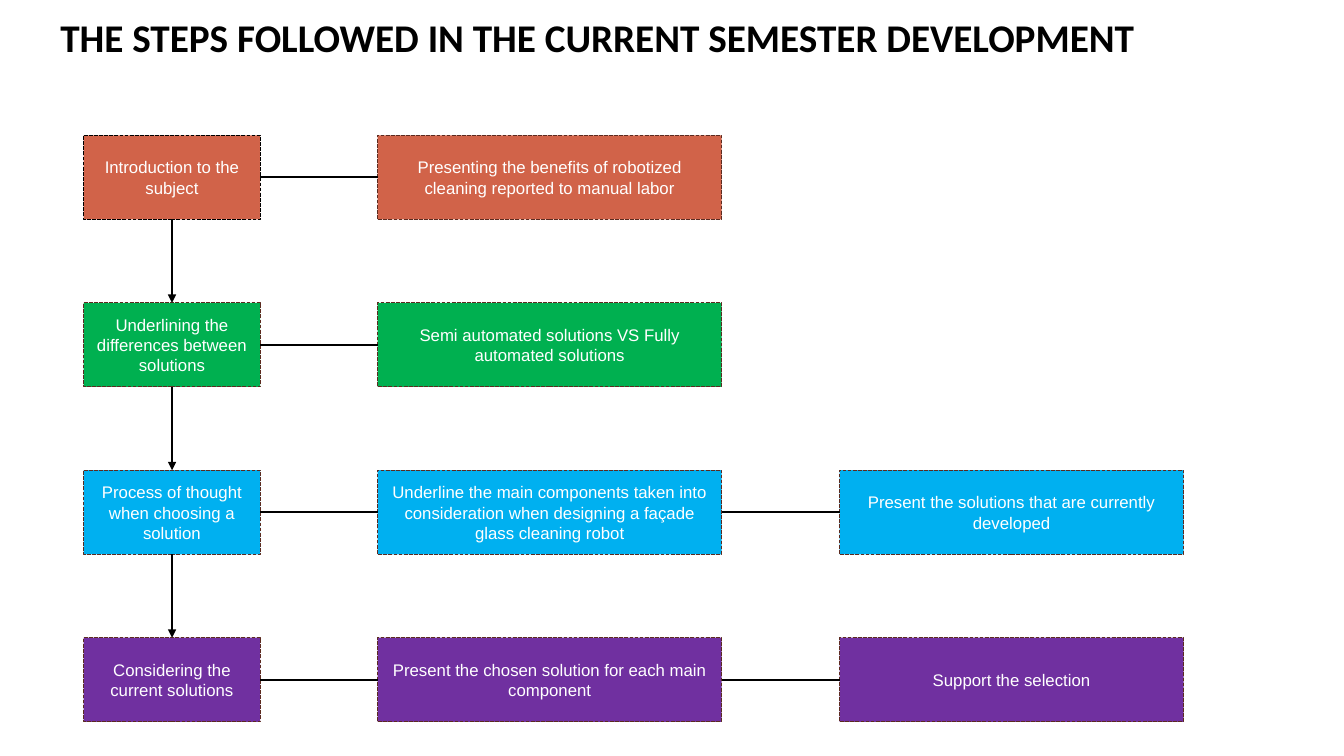
"""Build the slide showing the steps followed in the current semester."""
from dataclasses import dataclass

from lxml import etree
from pptx import Presentation
from pptx.dml.color import RGBColor
from pptx.enum.dml import MSO_LINE
from pptx.enum.shapes import MSO_CONNECTOR, MSO_SHAPE
from pptx.enum.text import MSO_ANCHOR, MSO_AUTO_SIZE, PP_ALIGN
from pptx.oxml.ns import qn
from pptx.shapes.autoshape import Shape
from pptx.slide import Slide
from pptx.text.text import TextFrame
from pptx.util import Cm, Pt

RECTANGLE = MSO_SHAPE.RECTANGLE
STRAIGHT = MSO_CONNECTOR.STRAIGHT
DASH = MSO_LINE.SQUARE_DOT
MIDDLE = MSO_ANCHOR.MIDDLE
CENTER = PP_ALIGN.CENTER
LEFT = PP_ALIGN.LEFT
GROW = MSO_AUTO_SIZE.SHAPE_TO_FIT_TEXT

BLACK = RGBColor(0x00, 0x00, 0x00)
WHITE = RGBColor(0xFF, 0xFF, 0xFF)
BROWN = RGBColor(0x5C, 0x2B, 0x20)
TERRACOTTA = RGBColor(0xD1, 0x63, 0x49)
GREEN = RGBColor(0x00, 0xB0, 0x50)
BLUE = RGBColor(0x00, 0xB0, 0xF0)
PURPLE = RGBColor(0x70, 0x30, 0xA0)

TOP_SIDE, LEFT_SIDE, BOTTOM_SIDE, RIGHT_SIDE = range(4)
FIRST_TOP = 3.41
ROW_PITCH = 4.22
BOX_HEIGHT = 2.12


@dataclass(frozen=True)
class Column:
    left: float
    width: float


@dataclass(frozen=True)
class Step:
    color: RGBColor
    texts: tuple[str, ...]
    first_outline: RGBColor = BROWN


COLUMNS = (Column(2.11, 4.45), Column(9.52, 8.67), Column(21.16, 8.67))
STEPS = (
    Step(TERRACOTTA, (
        "Introduction to the subject",
        "Presenting the benefits of robotized cleaning reported to manual labor",
    ), BLACK),
    Step(GREEN, (
        "Underlining the differences between solutions",
        "Semi automated solutions VS Fully automated solutions",
    )),
    Step(BLUE, (
        "Process of thought when choosing a solution",
        "Underline the main components taken into consideration "
        "when designing a façade glass cleaning robot",
        "Present the solutions that are currently developed",
    )),
    Step(PURPLE, (
        "Considering the current solutions",
        "Present the chosen solution for each main component",
        "Support the selection",
    )),
)


def write_text(frame: TextFrame, text: str, font_name: str, size: int,
               color: RGBColor, alignment: PP_ALIGN, bold: bool = False) -> None:
    """Write one formatted run into a wrapping text frame."""
    frame.word_wrap = True
    paragraph = frame.paragraphs[0]
    paragraph.alignment = alignment
    run = paragraph.add_run()
    run.text = text
    run.font.name = font_name
    run.font.size = Pt(size)
    run.font.bold = bold
    run.font.color.rgb = color


def add_title(slide: Slide, text: str) -> None:
    """Add the slide heading."""
    title = slide.shapes.add_textbox(Cm(1.27), Cm(0.2), Cm(29.41), Cm(1.45))
    write_text(title.text_frame, text, "Calibri", 28, BLACK, LEFT, bold=True)
    title.text_frame.auto_size = GROW


def add_box(slide: Slide, column: Column, top: float, text: str,
            fill: RGBColor, outline: RGBColor) -> Shape:
    """Add one dashed box with centred text."""
    box = slide.shapes.add_shape(
        RECTANGLE, Cm(column.left), Cm(top), Cm(column.width), Cm(BOX_HEIGHT))
    box.shadow.inherit = False
    box.fill.solid()
    box.fill.fore_color.rgb = fill
    box.line.color.rgb = outline
    box.line.width = Pt(0.9)
    box.line.dash_style = DASH
    box.text_frame.vertical_anchor = MIDDLE
    write_text(box.text_frame, text, "Arial", 12, WHITE, CENTER)
    return box


def join_boxes(slide: Slide, start: Shape, start_side: int,
               end: Shape, end_side: int, arrow: bool = False) -> None:
    """Join two boxes with a straight line, optionally ending in an arrowhead."""
    connector = slide.shapes.add_connector(STRAIGHT, 0, 0, 0, 0)
    connector.begin_connect(start, start_side)
    connector.end_connect(end, end_side)
    connector.line.color.rgb = BLACK
    connector.line.width = Pt(1.5)
    if arrow:
        line = connector.line._get_or_add_ln()
        etree.SubElement(line, qn("a:tailEnd"), type="triangle")
    etree.SubElement(connector._element.spPr, qn("a:effectLst"))


def add_step(slide: Slide, step: Step, top: float) -> Shape:
    """Add one row of joined boxes and return its first box."""
    boxes = [
        add_box(slide, column, top, text, step.color,
                step.first_outline if index == 0 else BROWN)
        for index, (column, text) in enumerate(zip(COLUMNS, step.texts))
    ]
    for start, end in zip(boxes, boxes[1:]):
        join_boxes(slide, start, RIGHT_SIDE, end, LEFT_SIDE)
    return boxes[0]


def main() -> None:
    """Create and save the presentation."""
    presentation = Presentation()
    presentation.slide_width = Cm(33.87)
    presentation.slide_height = Cm(19.05)
    slide = presentation.slides.add_slide(presentation.slide_layouts[6])
    add_title(slide, "THE STEPS FOLLOWED IN THE CURRENT SEMESTER DEVELOPMENT")
    first_boxes = [
        add_step(slide, step, FIRST_TOP + row * ROW_PITCH)
        for row, step in enumerate(STEPS)
    ]
    for upper, lower in zip(first_boxes, first_boxes[1:]):
        join_boxes(slide, upper, BOTTOM_SIDE, lower, TOP_SIDE, arrow=True)
    presentation.save("out.pptx")


if __name__ == "__main__":
    main()
